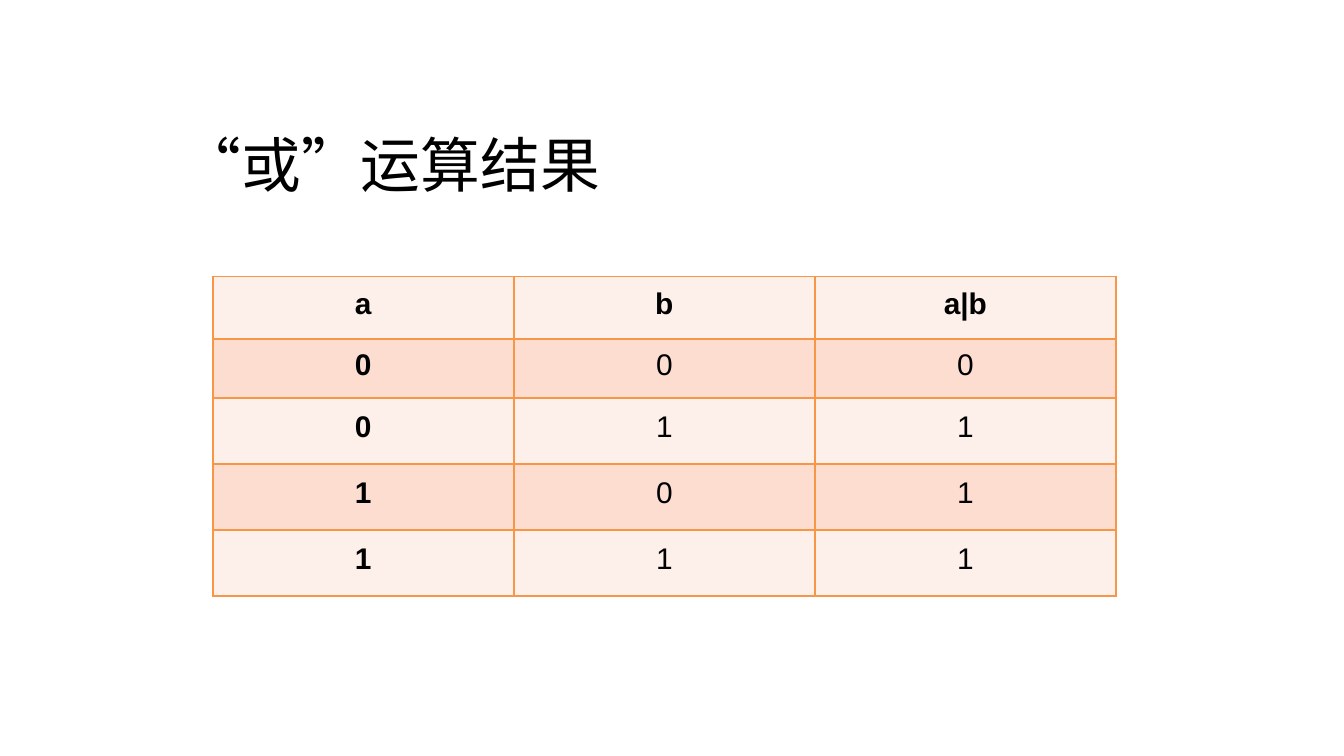
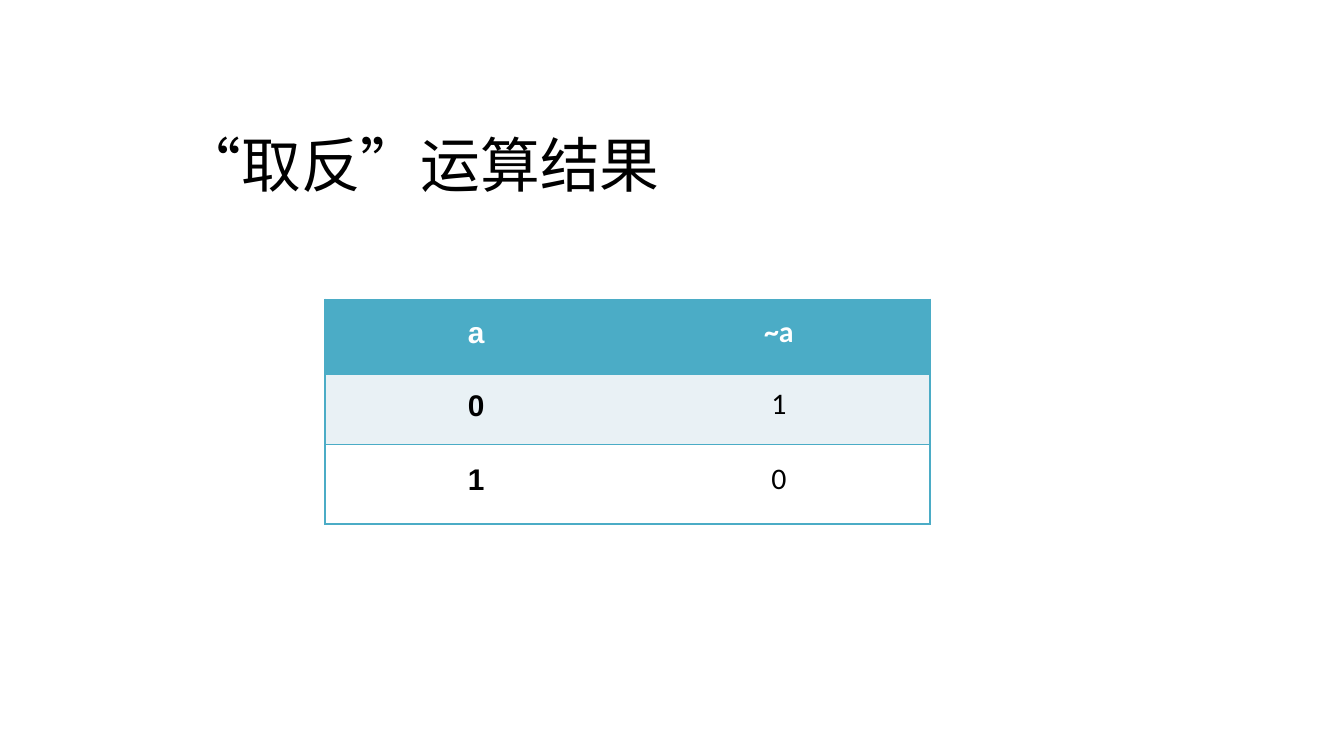
from dataclasses import dataclass

from lxml import etree
from pptx import Presentation
from pptx import util as u
from pptx.dml.color import RGBColor
from pptx.enum import lang, text
from pptx.oxml import ns


@dataclass(frozen=True)
class Theme:
    black: str = "000000"
    white: str = "FFFFFF"
    orange: str = "F79646"
    light_peach: str = "FDEFE9"
    peach: str = "FCDDCF"
    teal: str = "4BACC6"
    pale_teal: str = "E9F1F5"
    title_font: str = "Calibri"
    table_font: str = "Arial"
    title_size: int = 32
    table_size: int = 16
    line_spacing: int = 14


THEME = Theme()


def style_font(p, name, size, color, bold=False):
    p.font.name = name
    p.font.size = u.Pt(size)
    p.font.bold = bold
    p.font.color.rgb = RGBColor.from_string(color)


def add_slide(prs, title):
    s = prs.slides.add_slide(prs.slide_layouts[5])
    sp = s.shapes.title
    sp.left, sp.top = u.Cm(3.18), u.Cm(2.29)
    sp.width, sp.height = u.Cm(15.44), u.Cm(1.7)
    tf = sp.text_frame
    tf.text = title
    tf.word_wrap = True
    tf.auto_size = text.MSO_AUTO_SIZE.NONE
    tf.vertical_anchor = text.MSO_ANCHOR.TOP
    p = tf.paragraphs[0]
    p.alignment = text.PP_ALIGN.LEFT
    style_font(p, THEME.title_font, THEME.title_size, THEME.black)
    p.runs[0].font.language_id = lang.MSO_LANGUAGE_ID.SIMPLIFIED_CHINESE
    return s


def set_borders(cell, color, sides):
    tc_pr = cell._tc.get_or_add_tcPr()
    for i, side in enumerate("LRTB"):
        ln = etree.Element(ns.qn(f"a:ln{side}"), w=str(u.Pt(1)))
        if side in sides:
            fill = etree.SubElement(ln, ns.qn("a:solidFill"))
            etree.SubElement(fill, ns.qn("a:srgbClr"), val=color)
        else:
            etree.SubElement(ln, ns.qn("a:noFill"))
        tc_pr.insert(i, ln)


def fill_cell(cell, value, fill, color, font, bold):
    cell.fill.solid()
    cell.fill.fore_color.rgb = RGBColor.from_string(fill)
    cell.vertical_anchor = text.MSO_ANCHOR.MIDDLE
    cell.margin_left = cell.margin_right = u.Cm(0.18)
    cell.margin_top = cell.margin_bottom = 0
    cell.text = value
    p = cell.text_frame.paragraphs[0]
    p.alignment = text.PP_ALIGN.CENTER
    p.line_spacing = u.Pt(THEME.line_spacing)
    style_font(p, font, THEME.table_size, color, bold)


def add_truth_table(s, left, top, col_width, heights, rows, fills, line,
                    header_color, value_font, inner_verticals):
    n_cols = len(rows[0])
    table = s.shapes.add_table(
        len(rows), n_cols, u.Cm(left), u.Cm(top),
        u.Cm(col_width * n_cols), u.Cm(sum(heights))).table
    table.horz_banding = False
    table.first_row = False
    for col in table.columns:
        col.width = u.Cm(col_width)
    for r, values in enumerate(rows):
        table.rows[r].height = u.Cm(heights[r])
        for c, value in enumerate(values):
            cell = table.cell(r, c)
            fill_cell(cell, value, fills[r],
                      THEME.black if r else header_color,
                      value_font if c else THEME.table_font,
                      r == 0 or c == 0)
            sides = "TB"
            if inner_verticals or c == 0:
                sides += "L"
            if inner_verticals or c == n_cols - 1:
                sides += "R"
            set_borders(cell, line, sides)


def main():
    prs = Presentation()
    prs.slide_width, prs.slide_height = u.Cm(25.4), u.Cm(14.29)

    or_rows = [("a", "b", "a|b")]
    or_rows += [(str(a), str(b), str(a | b)) for a in (0, 1) for b in (0, 1)]
    add_truth_table(
        add_slide(prs, "“或”运算结果"), 4.02, 5.23, 5.69,
        [1.18, 1.11, 1.25, 1.25, 1.25], or_rows,
        [THEME.peach if r % 2 else THEME.light_peach
         for r in range(len(or_rows))],
        THEME.orange, THEME.black, THEME.table_font, True)

    not_rows = [("a", "~a"), ("0", "1"), ("1", "0")]
    add_truth_table(
        add_slide(prs, "“取反”运算结果"), 6.14, 5.66, 5.72,
        [1.42, 1.32, 1.5], not_rows,
        [THEME.teal, THEME.pale_teal, THEME.white],
        THEME.teal, THEME.white, THEME.title_font, False)

    prs.save("out.pptx")


if __name__ == "__main__":
    main()
